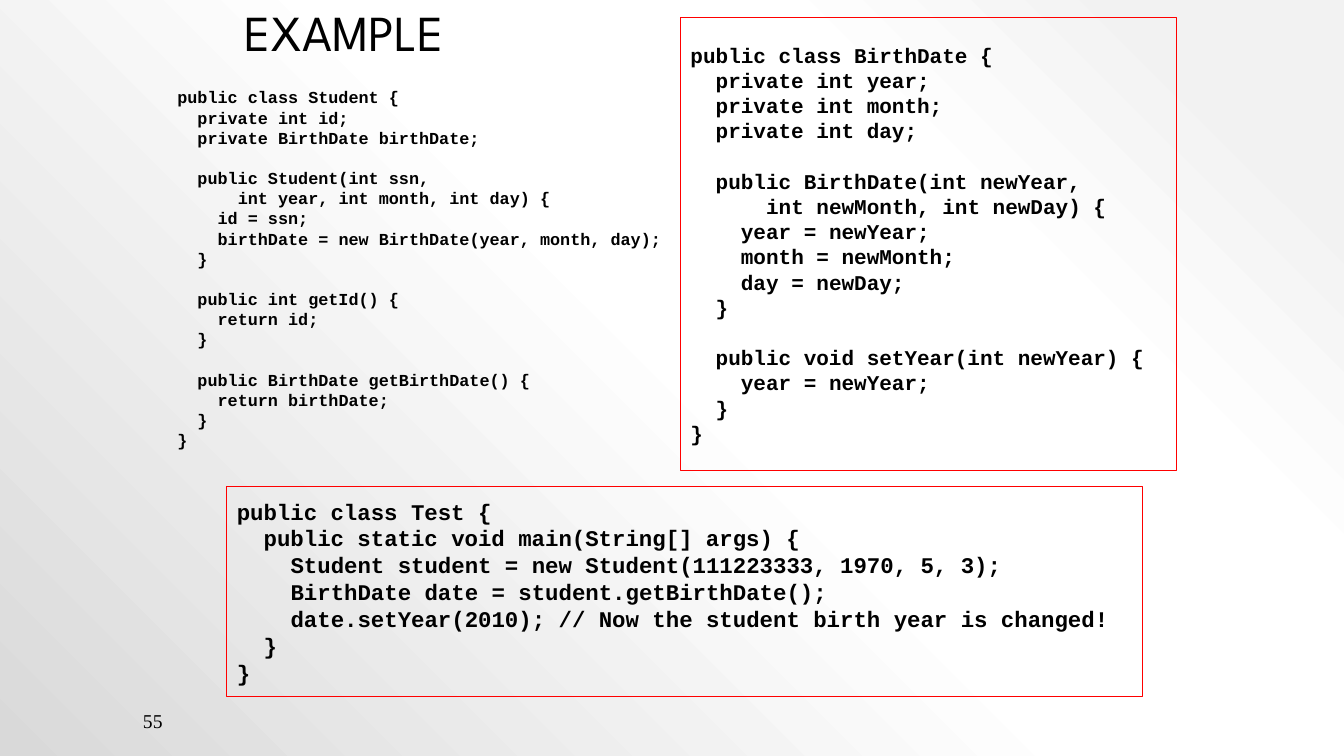
from pptx import Presentation
from pptx.dml.color import RGBColor
from pptx.enum.shapes import MSO_SHAPE
from pptx.enum.text import MSO_ANCHOR, MSO_AUTO_SIZE, PP_ALIGN
from pptx.oxml import parse_xml
from pptx.oxml.ns import nsdecls
from pptx.util import Inches, Pt

BLACK = RGBColor(0x00, 0x00, 0x00)
RED = RGBColor(0xFF, 0x00, 0x00)
RECTANGLE = MSO_SHAPE.RECTANGLE
MIDDLE, BOTTOM = MSO_ANCHOR.MIDDLE, MSO_ANCHOR.BOTTOM
LEFT = PP_ALIGN.LEFT
NO_AUTOFIT = MSO_AUTO_SIZE.NONE
CODE_FONT = "Courier New"
CHAR_WIDTH = 0.6  # monospaced advance, in font sizes
LINE_HEIGHT = 1.2  # code line pitch, in font sizes

STUDENT_CODE = """public class Student {
  private int id;
  private BirthDate birthDate;

  public Student(int ssn,
      int year, int month, int day) {
    id = ssn;
    birthDate = new BirthDate(year, month, day);
  }

  public int getId() {
    return id;
  }

  public BirthDate getBirthDate() {
    return birthDate;
  }
}"""

BIRTH_DATE_CODE = """public class BirthDate {
  private int year;
  private int month;
  private int day;

  public BirthDate(int newYear,
      int newMonth, int newDay) {
    year = newYear;
    month = newMonth;
    day = newDay;
  }

  public void setYear(int newYear) {
    year = newYear;
  }
}"""

TEST_CODE = """public class Test {
  public static void main(String[] args) {
    Student student = new Student(111223333, 1970, 5, 3);
    BirthDate date = student.getBirthDate();
    date.setYear(2010); // Now the student birth year is changed!
  }
}"""


def write_text(frame, text, *, size, font, bold=False, anchor=MIDDLE, spacing=None):
    """Turn leading spaces into indents and empty lines into space before."""
    frame.word_wrap = True
    frame.auto_size = NO_AUTOFIT
    frame.vertical_anchor = anchor
    paragraph, gap = frame.paragraphs[0], 0
    for number, line in enumerate(text.split("\n")):
        code = line.strip()
        if not code:
            gap += size * LINE_HEIGHT
            continue
        if number:
            paragraph = frame.add_paragraph()
        paragraph.alignment = LEFT
        paragraph.space_before = Pt(gap)
        if spacing:
            paragraph.line_spacing = spacing
        indent = Pt((len(line) - len(code)) * size * CHAR_WIDTH)
        if indent:
            paragraph._p.get_or_add_pPr().set("marL", str(indent))
        run = paragraph.add_run()
        run.text = code
        run.font.size = Pt(size)
        run.font.name = font
        run.font.bold = bold
        run.font.color.rgb = BLACK
        gap = 0


prs = Presentation()
prs.slide_width, prs.slide_height = Inches(13.33), Inches(7.5)
slide = prs.slides.add_slide(prs.slide_layouts[5])

# Background: radial gradient from the top right corner
gradient_stops = [(10, "F2F2F2"), (28, "FFFFFF"), (48, "FFFFFF"), (100, "D9D9D9")]
stops_xml = "".join(
    f'<a:gs pos="{percent * 1000}"><a:srgbClr val="{color}"/></a:gs>'
    for percent, color in gradient_stops
)
background = parse_xml(
    f'<p:bg {nsdecls("p", "a")}><p:bgPr><a:gradFill><a:gsLst>{stops_xml}</a:gsLst>'
    '<a:path path="circle"><a:fillToRect l="100000" b="100000"/></a:path>'
    "</a:gradFill><a:effectLst/></p:bgPr></p:bg>"
)
slide.shapes._spTree.addprevious(background)

# Slide number
page_number = slide.shapes.add_textbox(Inches(1.32), Inches(7.05), Inches(7.26), Inches(0.2))
write_text(page_number.text_frame, "55", size=14, font="Times New Roman")

# Title
title = slide.shapes.title
title.left, title.top = Inches(2.33), Inches(0.17)
title.width, title.height = Inches(3.75), Inches(0.5)
write_text(title.text_frame, "EXAMPLE", size=36, font="League Spartan",
           anchor=BOTTOM, spacing=0.9)

# Code listings: text, place, font size, framed in red or not
listings = [
    (STUDENT_CODE, (1.66, 0.75, 5.08, 3.83), 12, False),
    (BIRTH_DATE_CODE, (6.75, 0.17, 4.92, 4.5), 15, True),
    (TEST_CODE, (2.25, 4.83, 9.08, 2.08), 16, True),
]
for code, place, size, framed in listings:
    box = [Inches(length) for length in place]
    if framed:
        listing = slide.shapes.add_shape(RECTANGLE, *box)
        listing.shadow.inherit = False
        listing.fill.background()
        listing.line.color.rgb = RED
        listing.line.width = Pt(0.75)
    else:
        listing = slide.shapes.add_textbox(*box)
    write_text(listing.text_frame, code, size=size, font=CODE_FONT, bold=True,
               spacing=Pt(size * LINE_HEIGHT))

prs.save("out.pptx")
